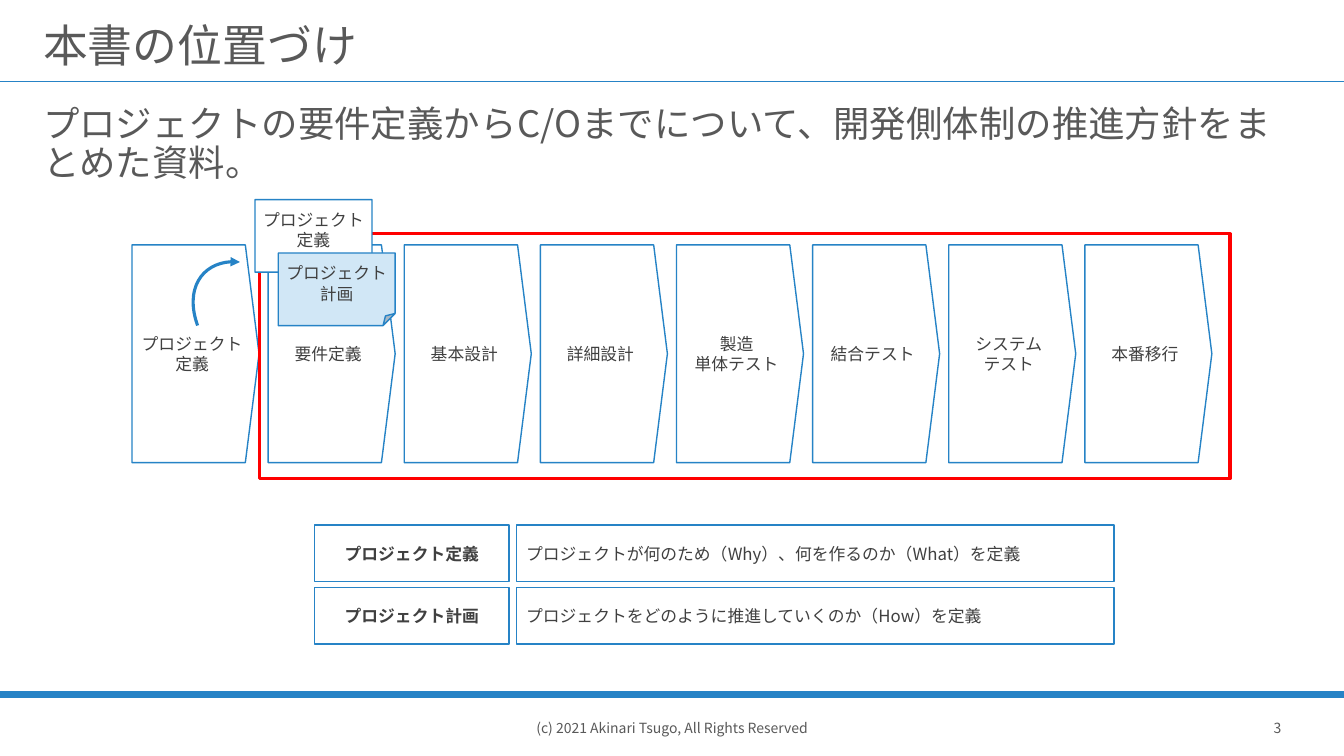
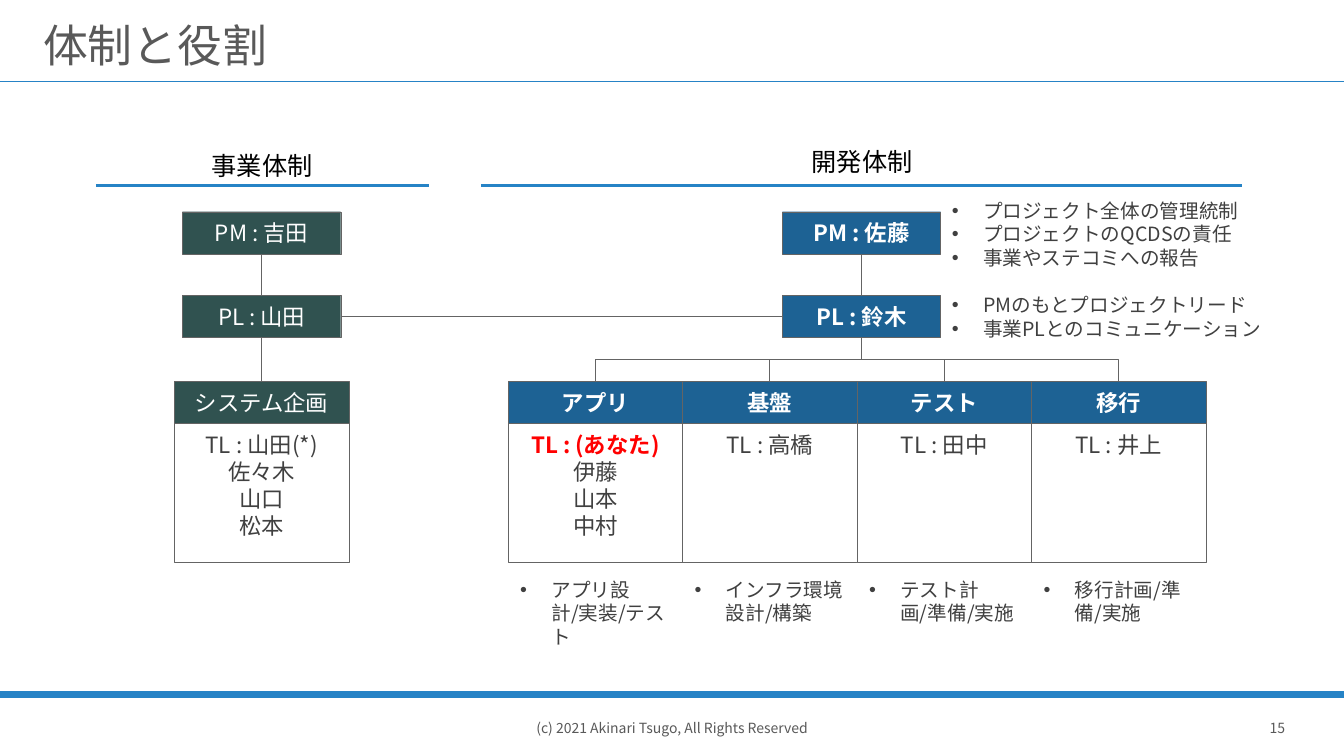
"""Build two slides: where the document fits, and the team structure."""
from lxml import etree
from pptx import Presentation
from pptx import util as u
from pptx.dml.color import RGBColor
from pptx.enum import shapes, text
from pptx.oxml.ns import qn

FONT = "Noto Sans CJK JP"
BLUE, NAVY, GREEN, PALE = "2683C6", "1D6294", "305250", "D1E7F6"
WHITE, BLACK, RED = "FFFFFF", "000000", "FF0000"
DARK, GRAY, EDGE = "404040", "595959", "646464"
LEFT, MID = text.PP_ALIGN.LEFT, text.PP_ALIGN.CENTER
TOP, HALF = text.MSO_ANCHOR.TOP, text.MSO_ANCHOR.MIDDLE
FORM, LINK = shapes.MSO_SHAPE, shapes.MSO_CONNECTOR
hue = RGBColor.from_string


def box(page, at, lines=(), size=12, ink=DARK, bold=False, align=MID, anchor=HALF,
        pad=(0.1, 0.05, 0.1, 0.05), form=None, fill=None, edge=BLUE, thick=1,
        lead=None, dots=False):
    """Add a text box, or a preset shape when form is given."""
    area = [u.Inches(n) for n in at]
    if form is None:
        item = page.shapes.add_textbox(*area)
    else:
        item = page.shapes.add_shape(form, *area)
        item.shadow.inherit = False
        item.line.color.rgb = hue(edge)
        item.line.width = u.Pt(thick)
        if fill:
            item.fill.solid()
            item.fill.fore_color.rgb = hue(fill)
        else:
            item.fill.background()
    frame = item.text_frame
    frame.word_wrap = True
    frame.vertical_anchor = anchor
    (frame.margin_left, frame.margin_top,
     frame.margin_right, frame.margin_bottom) = [u.Inches(n) for n in pad]
    for i, line in enumerate(lines):
        para = frame.add_paragraph() if i else frame.paragraphs[0]
        para.alignment = align
        if lead:
            para.line_spacing = lead
        if dots:
            prop = para._p.get_or_add_pPr()
            prop.set("marL", str(u.Inches(0.31)))
            prop.set("indent", str(u.Inches(-0.31)))
            etree.SubElement(prop, qn("a:buFont")).set("typeface", "Arial")
            etree.SubElement(prop, qn("a:buChar")).set("char", "•")
        run = para.add_run()
        run.text = line
        run.font.size = u.Pt(size)
        run.font.bold = bold
        run.font.color.rgb = hue(ink)
        run.font.name = FONT
        etree.SubElement(run._r.get_or_add_rPr(), qn("a:ea")).set("typeface", FONT)
    return item


def wire(page, ends=(0, 0, 0, 0), ink=EDGE, thick=0.5, kind=LINK.STRAIGHT, join=None):
    """Add a connector, glued to two shapes when join is given."""
    item = page.shapes.add_connector(kind, *[u.Inches(n) for n in ends])
    item.line.color.rgb = hue(ink)
    item.line.width = u.Pt(thick)
    etree.SubElement(item._element.spPr, qn("a:effectLst"))
    if join:
        head, out, tail, into = join
        item.begin_connect(head, out)
        item.end_connect(tail, into)
    return item


deck = Presentation()
deck.slide_width, deck.slide_height = u.Inches(13.33), u.Inches(7.5)
pages = []
for title, number in [("本書の位置づけ", "3"), ("体制と役割", "15")]:
    page = deck.slides.add_slide(deck.slide_layouts[6])
    pages.append(page)
    wire(page, (0, 0.81, 13.33, 0.81), BLUE, 1)
    wire(page, (0, 6.89, 13.33, 6.89), BLUE, 4.5)
    box(page, (12.34, 6.95, 0.66, 0.55), [number], 10, GRAY)
    box(page, (4.62, 6.95, 4.09, 0.55),
        ["(c) 2021 Akinari Tsugo, All Rights Reserved"], 10, GRAY)
    box(page, (0.33, 0.06, 12.67, 0.69), [title], 32, GRAY, align=LEFT,
        pad=(0.1, 0.2, 0.1, 0.05), lead=0.9)
scope, team = pages

box(scope, (0.33, 1, 12.67, 0.73),
    ["プロジェクトの要件定義からC/Oまでについて、開発側体制の推進方針をまとめた資料。"],
    26, GRAY, align=LEFT, anchor=TOP, lead=0.9)
steps = [["プロジェクト", "定義"], ["要件定義"], ["基本設計"], ["詳細設計"],
         ["製造", "単体テスト"], ["結合テスト"], ["システム", "テスト"], ["本番移行"]]
for i, step in enumerate(steps):
    phase = box(scope, (1.31 + 1.35 * i, 2.43, 1.26, 2.16), step,
                pad=(0.08, 0.05, 0.08, 0.05), form=FORM.PENTAGON, fill=WHITE)
    phase.adjustments[0] = 0.108
box(scope, (2.57, 2.32, 9.63, 2.43), form=FORM.RECTANGLE, edge=RED, thick=2.25)

pen = scope.shapes.build_freeform(u.Inches(1.96), u.Inches(3.23))
bend = [(1.83, 2.87), (2.03, 2.56), (2.38, 2.6)]
pen.add_line_segments([(u.Inches(x), u.Inches(y)) for x, y in bend], close=False)
arrow = pen.convert_to_shape()
arrow.shadow.inherit = False
arrow.fill.background()
arrow.line.color.rgb = hue(BLUE)
arrow.line.width = u.Pt(2.25)
etree.SubElement(arrow.line._get_or_add_ln(), qn("a:tailEnd")).set("type", "triangle")
track = arrow._element.xpath(".//a:path")[0]
curve = etree.SubElement(track, qn("a:cubicBezTo"))
for leg in track.findall(qn("a:lnTo")):
    curve.append(leg[0])
    track.remove(leg)

notes = [(2.53, 1.98, "定義", WHITE, "プロジェクトが何のため（Why）、何を作るのか（What）を定義"),
         (2.76, 2.51, "計画", PALE, "プロジェクトをどのように推進していくのか（How）を定義")]
for i, (x, y, name, fill, gist) in enumerate(notes):
    box(scope, (x, y, 1.16, 0.72), ["プロジェクト", name], pad=(0, 0, 0, 0),
        form=FORM.FOLDED_CORNER, fill=fill)
    row = 5.21 + 0.62 * i
    box(scope, (3.12, row, 1.93, 0.56), ["プロジェクト" + name], bold=True,
        form=FORM.RECTANGLE, fill=WHITE)
    box(scope, (5.12, row, 5.93, 0.56), [gist], align=LEFT,
        form=FORM.RECTANGLE, fill=WHITE)

wide, slim = (0.24, 0.08, 0.24, 0.08), (0.08, 0.04, 0.08, 0.04)
inset = (0.12, 0.08, 0.12, 0.08)
look = dict(size=16, form=FORM.RECTANGLE, edge=EDGE, thick=0.25)
leads = []
sides = [("事業体制", 1.17, 1.44, 0.95, 4.25, 1.81, GREEN, False, ["PM : 吉田", "PL : 山田"]),
         ("開発体制", 7.12, 1.4, 4.77, 12.32, 7.76, NAVY, True, ["PM : 佐藤", "PL : 鈴木"])]
for name, x, y, start, stop, left, fill, bold, roles in sides:
    box(team, (x, y, 2.86, 0.4), [name], 18, BLACK, anchor=TOP)
    wire(team, (start, 1.84, stop, 1.84), BLUE, 2.25)
    chief, lead = [box(team, (left, 2.1 + 0.83 * i, 1.57, 0.42), [role], ink=WHITE,
                       bold=bold, pad=wide, fill=fill, **look)
                   for i, role in enumerate(roles)]
    wire(team, join=(chief, 2, lead, 0))
    leads.append(lead)
wire(team, join=(leads[0], 3, leads[1], 1))

groups = [("システム企画", ["TL : 山田(*)", "佐々木", "山口", "松本"], None),
          ("アプリ", ["TL : (あなた)", "伊藤", "山本", "中村"], "アプリ設計/実装/テスト"),
          ("基盤", ["TL : 高橋"], "インフラ環境設計/構築"),
          ("テスト", ["TL : 田中"], "テスト計画/準備/実施"),
          ("移行", ["TL : 井上"], "移行計画/準備/実施")]
for i, (name, crew, duty) in enumerate(groups):
    left = 5.04 + 1.73 * (i - 1) if duty else 1.73
    head = box(team, (left, 3.78, 1.73, 0.42), [name], ink=WHITE, bold=bool(duty),
               pad=slim, fill=NAVY if duty else GREEN, **look)
    cell = box(team, (left, 4.2, 1.73, 1.38), crew, anchor=TOP, pad=inset,
               fill=WHITE, **look)
    if not duty:
        wire(team, join=(leads[0], 2, head, 0))
        continue
    if i == 1:
        you = cell.text_frame.paragraphs[0].runs[0].font
        you.bold = True
        you.color.rgb = hue(RED)
    box(team, (left, 5.65, 1.73, 0.77), [duty], 14, align=LEFT, anchor=TOP,
        pad=inset, dots=True)
    branch = wire(team, kind=LINK.ELBOW, join=(head, 0, leads[1], 2))
    span, drop = branch.width, branch.height
    branch.left += (span - drop) // 2
    branch.top += (drop - span) // 2
    branch.width, branch.height = drop, span
    west = branch.begin_x < branch.end_x if i > 2 else True
    turn = branch._element.spPr.find(qn("a:xfrm"))
    turn.set("rot", "5400000" if i < 3 else "16200000")
    turn.set("flipH", "1" if i < 3 else "0")
    turn.set("flipV", "1")

tasks = [["プロジェクト全体の管理統制", "プロジェクトのQCDSの責任", "事業やステコミへの報告"],
         ["PMのもとプロジェクトリード", "事業PLとのコミュニケーション"]]
for i, task in enumerate(tasks):
    box(team, (9.32, 1.96 + 0.82 * i, 3.56, 0.72), task, 14, align=LEFT,
        pad=inset, dots=True)

deck.save("out.pptx")
